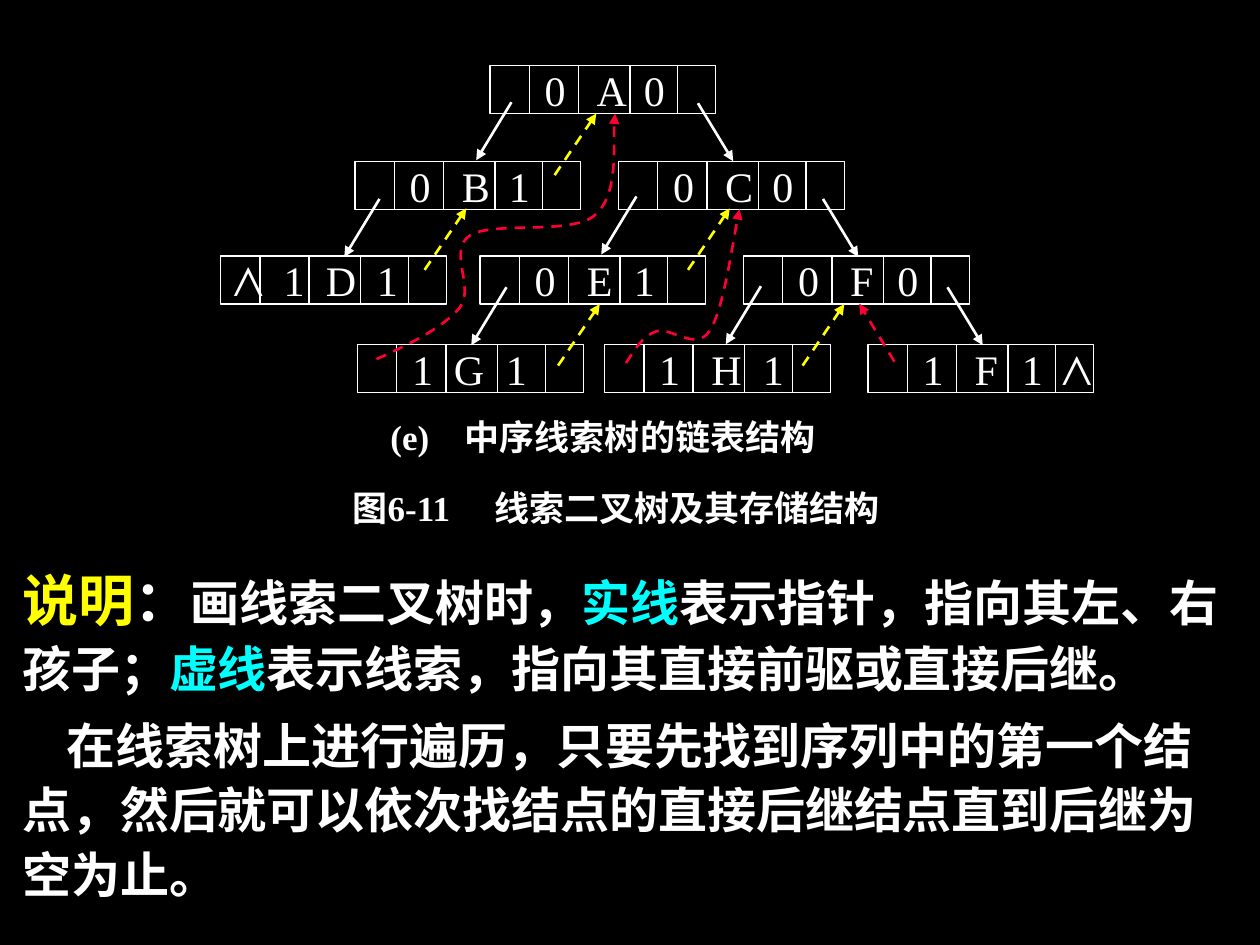
import pptx
import pptx.util
import pptx.dml.color
import pptx.enum.dml
import pptx.enum.shapes
import pptx.enum.text
import pptx.oxml
import pptx.oxml.ns
from dataclasses import dataclass
from itertools import pairwise

Cm, Pt = pptx.util.Cm, pptx.util.Pt
qn = pptx.oxml.ns.qn
RGB = pptx.dml.color.RGBColor.from_string


@dataclass(frozen=True)
class Theme:
    back: str = "000000"
    ink: str = "FFFFFF"
    next: str = "FFFF00"
    prior: str = "FF0033"
    key: str = "00FFFF"
    serif: str = "Times New Roman"
    sans: str = "Arial"
    han: str = "Noto Sans CJK SC"
    cell: int = 24
    label: int = 20
    body: int = 28
    head: int = 32
    thin: float = 0.75
    bold: float = 1.5


THEME = Theme()


def child(node, tag, **attrs):
    """Append a drawing element to node."""
    item = node.makeelement(qn(tag), attrs)
    node.append(item)
    return item


def write(para, runs, size, font=THEME.serif, color=THEME.ink, bold=False,
          stops=(), indent=0, line=None, before=0):
    """Fill a paragraph; each run is (text, dict of what differs)."""
    props = para._p.get_or_add_pPr()
    if indent:
        props.set("indent", str(Cm(indent)))
    if stops:
        tabs = child(props, "a:tabLst")
        for stop in stops:
            child(tabs, "a:tab", pos=str(Cm(stop)), algn="l")
    if line:
        para.line_spacing = line
    if before:
        para.space_before = Pt(before)
    for text, diff in runs:
        look = dict(size=size, font=font, color=color) | diff
        run = para.add_run()
        run.text = text
        run.font.size = Pt(look["size"])
        run.font.name = look["font"]
        run.font.bold = bold
        run.font.color.rgb = RGB(look["color"])
        child(run._r.get_or_add_rPr(), "a:ea", typeface=THEME.han)


class Deck:
    def __init__(self, theme):
        self.theme = theme
        self.file = pptx.Presentation()
        self.file.slide_width, self.file.slide_height = Cm(25.4), Cm(19.05)
        self.slide = self.file.slides.add_slide(self.file.slide_layouts[6])
        fill = self.slide.background.fill
        fill.solid()
        fill.fore_color.rgb = RGB(theme.back)

    def frame(self, shape, middle=True):
        frame = shape.text_frame
        frame.word_wrap = True
        frame.margin_left, frame.margin_right = Cm(0.25), 0
        frame.margin_top = frame.margin_bottom = Cm(0.13)
        anchor = pptx.enum.text.MSO_ANCHOR
        frame.vertical_anchor = anchor.MIDDLE if middle else anchor.TOP
        return frame

    def stroke(self, shape, color, width, dash=False, head=False):
        shape.line.color.rgb = RGB(color)
        shape.line.width = Pt(width)
        if dash:
            shape.line.dash_style = pptx.enum.dml.MSO_LINE.DASH
        if head:
            child(shape.line._get_or_add_ln(), "a:tailEnd", type="triangle")

    def link(self, x1, y1, x2, y2, color, width, **style):
        line = self.slide.shapes.add_connector(
            pptx.enum.shapes.MSO_CONNECTOR.STRAIGHT,
            Cm(x1), Cm(y1), Cm(x2), Cm(y2))
        self.stroke(line, color, width, **style)
        child(line._element.spPr, "a:effectLst")

    def node(self, x, y, text, stops):
        wide, high = 4.55, 0.97
        box = self.slide.shapes.add_shape(
            pptx.enum.shapes.MSO_SHAPE.RECTANGLE, Cm(x), Cm(y), Cm(wide), Cm(high))
        box.shadow.inherit = False
        box.fill.background()
        self.stroke(box, self.theme.ink, self.theme.thin)
        para = self.frame(box).paragraphs[0]
        para.alignment = pptx.enum.text.PP_ALIGN.LEFT
        write(para, [(text, {})], self.theme.cell, stops=stops)
        for step in (0.79, 1.78, 2.82, 3.78):
            self.link(x + step, y, x + step, y + high, self.theme.ink, self.theme.thin)

    def curve(self, points, color):
        """Draw a Bezier path: a start, then three points for each segment."""
        spots = [(Cm(x), Cm(y)) for x, y in points]
        form = self.slide.shapes.build_freeform(*spots[0], scale=1.0)
        form.add_line_segments(spots[1:], close=False)
        shape = form.convert_to_shape()
        shape.shadow.inherit = False
        shape.fill.background()
        self.stroke(shape, color, self.theme.bold, dash=True, head=True)
        route = next(shape._element.iter(qn("a:path")))
        sides = route.findall(qn("a:lnTo"))
        for i in range(0, len(sides), 3):
            bend = child(route, "a:cubicBezTo")
            for side in sides[i:i + 3]:
                bend.append(side[0])
                route.remove(side)

    def text(self, x, y, wide, high, paras, middle=True):
        box = self.slide.shapes.add_textbox(Cm(x), Cm(y), Cm(wide), Cm(high))
        frame = self.frame(box, middle)
        for i, (runs, style) in enumerate(paras):
            para = frame.add_paragraph() if i else frame.paragraphs[0]
            write(para, runs, **style)


def main():
    deck, t = Deck(THEME), THEME
    rows = (1.32, 3.25, 5.16, 6.95)
    usual = (0.85, 1.9, 2.85, 3.65)
    nodes = [
        (9.88, 0, "\t0\tA\t0", usual),
        (7.16, 1, "\t0\tB\t1", usual),
        (12.47, 1, "\t0\tC\t0", usual),
        (4.45, 2, "⋀\t1\tD\t1", (1.02, 1.87, 2.9)),
        (9.68, 2, "\t0\tE\t1", usual),
        (14.99, 2, "\t0\tF\t0", usual),
        (7.21, 3, "\t1\tG\t1", (0.85, 1.69, 2.74)),
        (12.19, 3, "\t1\tH\t1", (0.85, 1.9, 2.94)),
        (17.5, 3, "\t1\tF\t1\t⋀", usual),
    ]
    for x, row, text, stops in nodes:
        deck.node(x, rows[row], text, stops)

    left = [(10.31, 2.06), (12.83, 3.96), (7.65, 4.01), (10.21, 5.79), (15.34, 5.77)]
    right = [(14.07, 2.08), (16.59, 4.01), (19.1, 5.79)]
    after = [(8.56, 5.44), (11.18, 3.53), (11.25, 7.37), (13.87, 5.44), (16.18, 7.37)]
    for starts, dx, dy, color, dash in (
            (left, -0.71, 1.17, t.ink, False),
            (right, 0.71, 1.17, t.ink, False),
            (after, 0.84, -1.24, t.next, True),
            ([(18.03, 7.29)], -0.71, -1.17, t.prior, True)):
        for x, y in starts:
            deck.link(x, y, x + dx, y + dy, color, t.bold, dash=dash, head=True)

    deck.curve([(7.59, 7.24), (8.28, 6.93), (8.94, 6.6), (9.27, 6.2),
                (9.58, 5.79), (9.02, 5.05), (9.47, 4.75),
                (9.93, 4.45), (11.51, 4.75), (11.99, 4.34),
                (12.47, 3.94), (12.34, 2.62), (12.4, 2.29)], t.prior)
    deck.curve([(12.62, 7.32), (12.8, 7.04), (12.95, 6.78), (13.23, 6.68),
                (13.51, 6.58), (14.02, 7.09), (14.3, 6.68),
                (14.58, 6.27), (14.81, 4.62), (14.91, 4.22)], t.prior)

    label = dict(size=t.label, bold=True)
    deck.text(7.62, 8.31, 9.2, 0.99, [
        ([("(e)\t中序线索树的链表结构", {})], label | dict(stops=[1.5]))])
    deck.text(6.86, 9.73, 11.2, 0.99, [
        ([("图", dict(font=t.sans)), ("6-11\t线索二叉树及其存储结构", {})],
         label | dict(stops=[2.85]))])

    body = dict(size=t.body, font=t.han, bold=True, line=1.1)
    key = dict(color=t.key)
    deck.text(0.2, 11.13, 24.69, 7.21, [
        ([("说明", dict(size=t.head, color=t.next)),
          ("：", dict(size=t.head, font=t.serif)),
          ("画线索二叉树时，", {}), ("实线", key), ("表示指针，指向其左", {}),
          ("、", dict(font=t.serif)), ("右孩子；", {}), ("虚线", key),
          ("表示线索，指向其直接前驱或直接后继。", {})], body),
        ([("在线索树上进行遍历，只要先找到序列中的第一个结点，"
           "然后就可以依次找结点的直接后继结点直到后继为空为止。", {})],
         body | dict(indent=0.9, before=7)),
    ], middle=False)
    deck.file.save("out.pptx")


if __name__ == "__main__":
    main()
